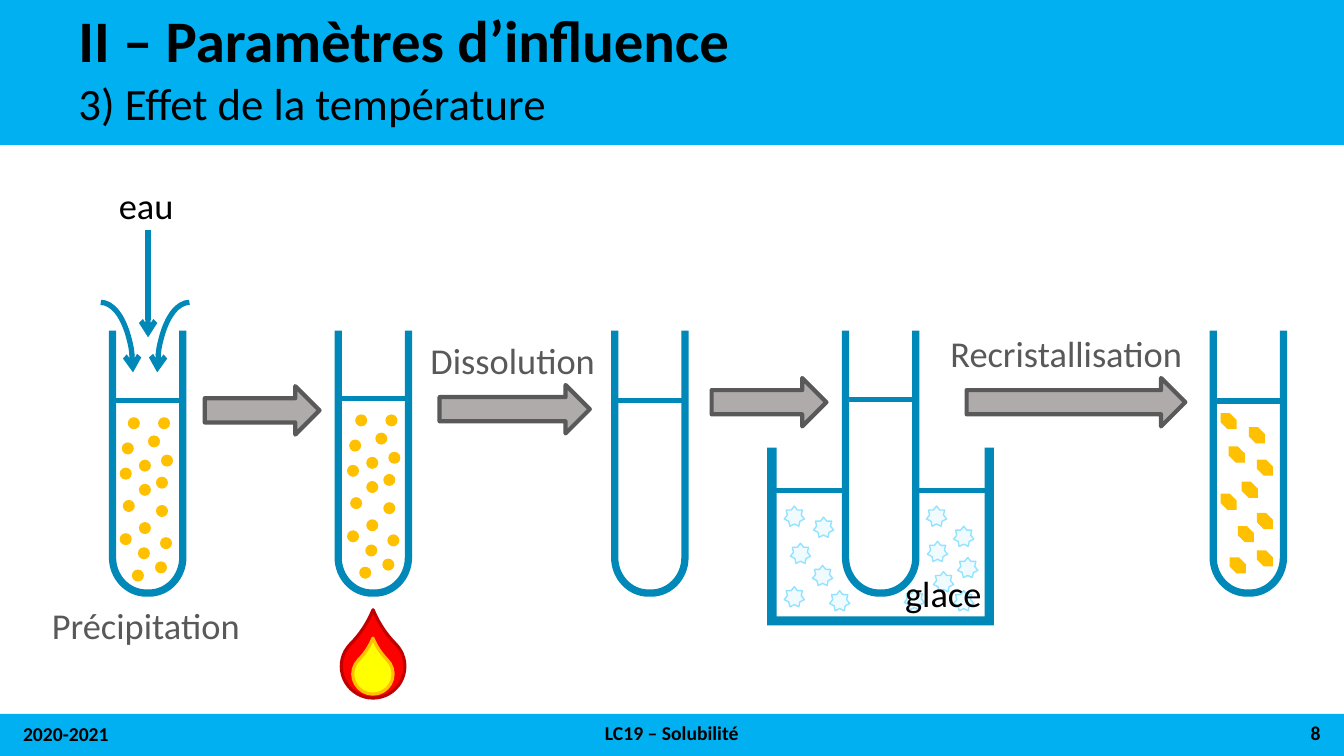
from lxml.etree import SubElement
from pptx import Presentation
from pptx.dml.color import RGBColor
from pptx.enum.shapes import MSO_CONNECTOR, MSO_SHAPE as Preset
from pptx.enum.text import MSO_ANCHOR as Anchor, PP_ALIGN as Align
from pptx.oxml.ns import qn
from pptx.util import Pt

BLACK, GREY = "000000", "595959"
BAND, GLASS, SOLID = "00B0F0", "0088B8", "FFC000"
SLIDE_WIDTH, SLIDE_HEIGHT = 960, 540
TUBE_TOP, TUBE_WIDTH, TUBE_HEIGHT, TUBE_WALL = 236.2, 55.4, 190, 5.2
TUBE_STRAIGHT, TUBE_FLAT = 162, 2.2
BEND = 0.55
BEAKER_LEFT, BEAKER_TOP, BEAKER_WIDTH, BEAKER_HEIGHT = 548, 319.7, 162, 127
WALL_SIDE, WALL_BOTTOM = 6.7, 6.3

# Offsets from the left of a tube and from its liquid level
GRAINS = [
    (9.4, 30.2), (21.6, 42.5), (33.8, 54.7), (21.6, 59.8), (37.4, 38.9), (28.1, 25.2),
    (13.7, 12.2), (35.3, 12.2), (33.8, 74.9), (7.9, 48.2), (10.1, 71.3), (21.6, 87.1),
    (36.7, 97.9), (7.9, 95), (20.9, 105.1), (33.1, 115.2), (16.6, 121),
]
CRYSTALS = [
    (7.9, 8.6), (13.7, 32.4), (28.1, 18.7), (33.8, 41.8), (23, 57.6),
    (7.9, 66.2), (33.8, 79.9), (20.2, 89.3), (33.8, 106.6), (14.4, 111.6),
]
# Offsets from the top left of the beaker
ICE = [
    (12.2, 41.8), (33.1, 49.7), (16.6, 68.4), (32.4, 84.2), (12.2, 99.4),
    (113.8, 41.8), (133.2, 56.2), (114.5, 67), (44.6, 102.2), (97.9, 101.5),
    (118.8, 88.6), (136.1, 78.5), (133.2, 102.2),
]


def color(hex_string):
    return RGBColor.from_string(hex_string)


def paint(shape, fill=None, line=None, weight=1):
    shape.shadow.inherit = False
    if fill:
        shape.fill.solid()
        shape.fill.fore_color.rgb = color(fill)
    else:
        shape.fill.background()
    if line:
        shape.line.color.rgb = color(line)
        shape.line.width = Pt(weight)
    else:
        shape.line.fill.background()


def add_preset(page, preset, left, top, width, height, fill=None, line=None, weight=1,
               adjustments=()):
    shape = page.shapes.add_shape(preset, Pt(left), Pt(top), Pt(width), Pt(height))
    for index, value in enumerate(adjustments):
        shape.adjustments[index] = value
    paint(shape, fill, line, weight)
    return shape


def add_text(page, text, left, top, width, height, size, ink=BLACK, bold=False,
             align=Align.LEFT, anchor=Anchor.MIDDLE, spacing=1.0):
    box = page.shapes.add_textbox(Pt(left), Pt(top), Pt(width), Pt(height))
    frame = box.text_frame
    frame.word_wrap = True
    frame.vertical_anchor = anchor
    frame.text = text
    para = frame.paragraphs[0]
    para.alignment = align
    para.line_spacing = spacing
    font = para.runs[0].font
    font.name, font.size, font.bold = "Calibri", Pt(size), bold
    font.color.rgb = color(ink)


def add_arrowhead(shape):
    outline = shape.element.spPr.find(qn("a:ln"))
    SubElement(outline, qn("a:tailEnd"), type="arrow")


def add_line(page, x1, y1, x2, y2):
    line = page.shapes.add_connector(MSO_CONNECTOR.STRAIGHT, Pt(x1), Pt(y1), Pt(x2), Pt(y2))
    line.line.color.rgb = color(GLASS)
    line.line.width = Pt(3.75)
    SubElement(line.element.spPr, qn("a:effectLst"))
    return line


def add_outline(page, points, curves=()):
    """Draw a closed outline; each index in curves starts two handles and an end point."""
    start, *others = [(Pt(x), Pt(y)) for x, y in points]
    builder = page.shapes.build_freeform(*start)
    builder.add_line_segments(others, close=True)
    shape = builder.convert_to_shape()
    paint(shape, GLASS)
    segments = list(shape.element.iter(qn("a:lnTo")))
    for index in curves:
        first, *rest = segments[index - 1:index + 2]
        first.tag = qn("a:cubicBezTo")
        for segment in rest:
            first.append(segment[0])
            segment.getparent().remove(segment)


def tube_side(left, inset):
    """Points down the left wall, round the bottom and up the right wall."""
    right = left + TUBE_WIDTH - inset
    left = left + inset
    shoulder, base = TUBE_TOP + TUBE_STRAIGHT, TUBE_TOP + TUBE_HEIGHT - inset
    radius_x, radius_y = (right - left - TUBE_FLAT) / 2, base - shoulder
    handle_x, handle_y = radius_x * (1 - BEND), shoulder + radius_y * BEND
    return [
        (left, TUBE_TOP), (left, shoulder),
        (left, handle_y), (left + handle_x, base), (left + radius_x, base),
        (right - radius_x, base),
        (right - handle_x, base), (right, handle_y), (right, shoulder),
        (right, TUBE_TOP),
    ]


def add_tube(page, left, level):
    points = tube_side(left, 0) + tube_side(left, TUBE_WALL)[::-1]
    add_outline(page, points, curves=(2, 6, 12, 16))
    add_line(page, left, level, left + 51.8, level)


def add_pieces(page, preset, left, top, offsets, size, **style):
    for x, y in offsets:
        add_preset(page, preset, left + x, top + y, size, size, **style)


def add_beaker(page):
    left, top = BEAKER_LEFT, BEAKER_TOP
    right, bottom = left + BEAKER_WIDTH, top + BEAKER_HEIGHT
    inner_left, inner_right = left + WALL_SIDE, right - WALL_SIDE
    floor = bottom - WALL_BOTTOM
    add_outline(page, [
        (left, top), (inner_left, top), (inner_left, floor), (inner_right, floor),
        (inner_right, top), (right, top), (right, bottom), (left, bottom),
    ])
    for start in (551.5, 656.6):
        add_line(page, start, 350.5, start + 51.5, 350.5)
    add_pieces(page, Preset.STAR_7_POINT, left, top, ICE, 14.4, fill="EFFBFF", line="93E3FF")


def add_flame(page):
    for left, top, size, fill, line in (
        (243.8, 453.2, 45.4, "FF0000", "C00000"),
        (252, 467, 28.8, "FFFF00", SOLID),
    ):
        flame = add_preset(page, Preset.TEAR, left, top, size, size, fill, line, 2.25, [1.258])
        flame.rotation = 315


def add_water_arrows(page):
    for left, flipped in ((49, False), (112.3, True)):
        arc = add_preset(page, Preset.ARC, left, 216, 46, 100, line=GLASS, weight=3.75)
        if flipped:
            arc.element.spPr.find(qn("a:xfrm")).set("flipH", "1")
        add_arrowhead(arc)
    add_arrowhead(add_line(page, 105.8, 164, 105.8, 241))


def add_bands(page):
    add_preset(page, Preset.RECTANGLE, 0, -0.5, SLIDE_WIDTH, 104, BAND)
    add_preset(page, Preset.RECTANGLE, 0, 510, SLIDE_WIDTH, 30, BAND)
    add_text(page, "II – Paramètres d’influence", 49, 7.5, 845, 47, 42, bold=True, spacing=0.9)
    add_text(page, "3) Effet de la température", 49, 57.8, 845, 40, 32,
             anchor=Anchor.TOP, spacing=0.8)
    for text, left, top, width, align in (
        ("2020-2021", 9.4, 509.5, 216, Align.LEFT),
        ("LC19 – Solubilité", 225.4, 509, 509, Align.CENTER),
        ("8", 734.4, 509, 216, Align.RIGHT),
    ):
        add_text(page, text, left, top, width, 29, 14, bold=True, align=align)


def main():
    deck = Presentation()
    deck.slide_width, deck.slide_height = Pt(SLIDE_WIDTH), Pt(SLIDE_HEIGHT)
    page = deck.slides.add_slide(deck.slide_layouts[6])
    add_bands(page)
    add_flame(page)
    add_water_arrows(page)

    for left, level in ((77.8, 286), (239, 284.4), (436.5, 286), (601.4, 285.3), (864, 286.5)):
        add_tube(page, left, level)
    for left, level in ((77.6, 285.8), (240, 283.8)):
        add_pieces(page, Preset.OVAL, left, level, GRAINS, 8.6, fill=SOLID)
    add_pieces(page, Preset.SNIP_2_DIAG_RECTANGLE, 864, 286.5, CRYSTALS, 11.5,
               fill=SOLID, adjustments=[0, 0.431])
    add_beaker(page)

    for text, left, top, width, height, ink in (
        ("eau", 77.8, 132.5, 63, 28, BLACK),
        ("Précipitation", 30, 422.6, 157, 47.5, GREY),
        ("Recristallisation", 671.8, 234.7, 188, 34.6, GREY),
        ("Dissolution", 300.4, 241.2, 132.5, 31.7, GREY),
        ("glace", 639.4, 395.3, 84, 57, BLACK),
    ):
        add_text(page, text, left, top, width, height, 26, ink)

    for left, top, width in ((146.2, 275.8, 82), (314, 275, 107.3), (508.3, 270, 82),
                             (690.5, 270, 156.2)):
        add_preset(page, Preset.RIGHT_ARROW, left, top, width, 34.6, "AFABAB", GREY, 3)

    deck.save("out.pptx")


if __name__ == "__main__":
    main()
